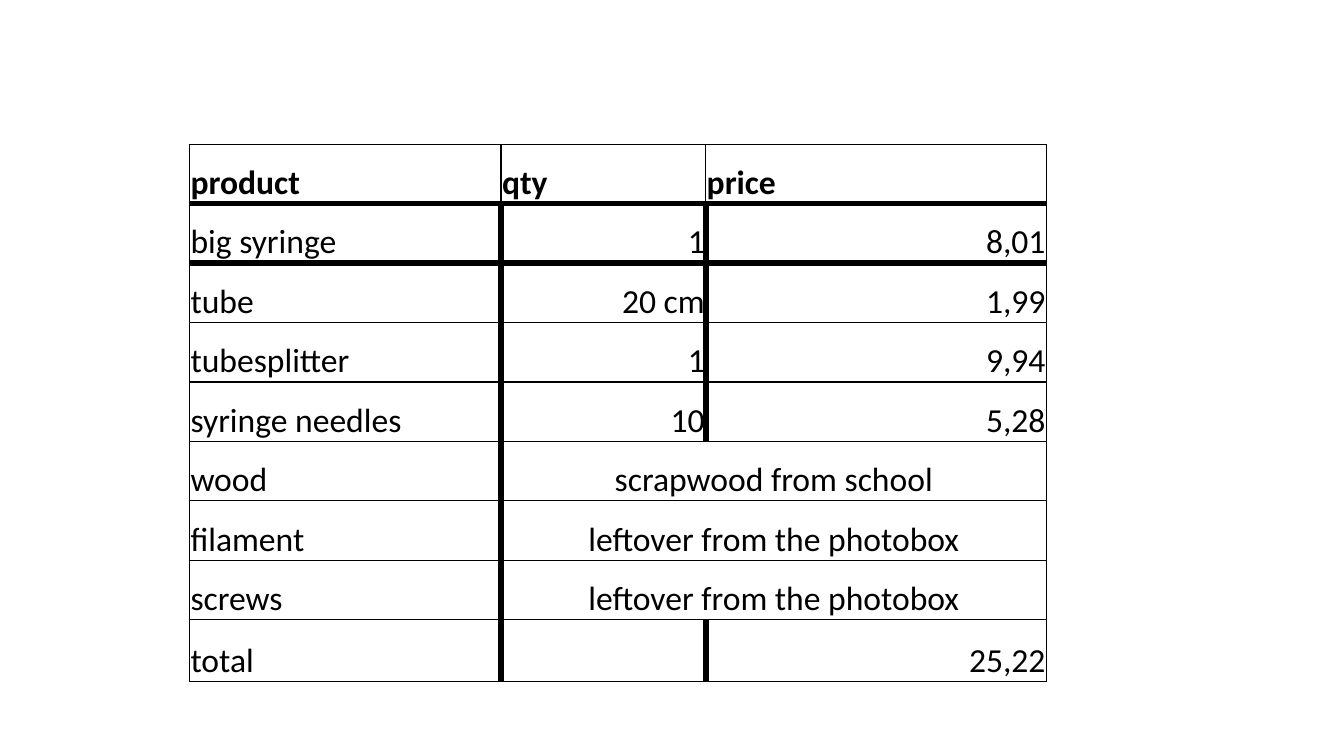
from dataclasses import dataclass

import lxml.etree
import pptx
import pptx.dml.color
import pptx.enum.text
import pptx.oxml.ns
import pptx.table
import pptx.util

PX = 9144  # EMU per px, 100 px to the inch
BLACK = pptx.dml.color.RGBColor(0, 0, 0)
ALIGN = pptx.enum.text.PP_ALIGN
THIN = pptx.util.Pt(1)
THICK = pptx.util.Pt(4.5)
COLS = (309, 203, 338)
ROW = 59
LAST = 61


@dataclass
class Item:
    name: str
    qty: str = ""
    price: str = ""
    note: str = ""  # fills qty and price as one merged cell


HEAD = Item("product", "qty", "price")
ITEMS = [
    Item("big syringe", "1", "8,01"),
    Item("tube", "20 cm", "1,99"),
    Item("tubesplitter", "1", "9,94"),
    Item("syringe needles", "10", "5,28"),
    Item("wood", note="scrapwood from school"),
    Item("filament", note="leftover from the photobox"),
    Item("screws", note="leftover from the photobox"),
    Item("total", price="25,22"),
]


def put_text(cell: pptx.table._Cell, text: str, align: ALIGN, bold: bool) -> None:
    cell.vertical_anchor = pptx.enum.text.MSO_ANCHOR.BOTTOM
    cell.margin_left = cell.margin_right = cell.margin_top = PX
    cell.margin_bottom = 0
    para = cell.text_frame.paragraphs[0]
    para.alignment = align
    if text:
        run = para.add_run()
        run.text = text
        run.font.name = "Calibri"
        run.font.size = pptx.util.Pt(24)
        run.font.bold = bold
        run.font.color.rgb = BLACK


def put_edge(cell: pptx.table._Cell, side: str, width: int) -> None:
    qn = pptx.oxml.ns.qn
    props = cell._tc.get_or_add_tcPr()
    line = lxml.etree.SubElement(props, qn(f"a:ln{side}"), w=str(width))
    fill = lxml.etree.SubElement(line, qn("a:solidFill"))
    lxml.etree.SubElement(fill, qn("a:srgbClr"), val=str(BLACK))


def row_edge(row: int) -> int:
    """Width of the line above a row: the first item has heavy rules."""
    return THICK if row in (1, 2) else THIN


def col_edge(row: int, col: int) -> int:
    """Width of the line left of a column: inner ones are heavy below the head."""
    return THICK if row > 0 and col in (1, 2) else THIN


def draw_row(table: pptx.table.Table, row: int, item: Item) -> None:
    head = row == 0
    side = ALIGN.LEFT if head else ALIGN.RIGHT
    if item.note:
        table.cell(row, 1).merge(table.cell(row, 2))
        parts = [(0, 1, item.name, ALIGN.LEFT), (1, 3, item.note, ALIGN.CENTER)]
    else:
        parts = [(0, 1, item.name, ALIGN.LEFT), (1, 2, item.qty, side),
                 (2, 3, item.price, side)]
    for col, end, text, align in parts:
        cell = table.cell(row, col)
        put_text(cell, text, align, head)
        put_edge(cell, "L", col_edge(row, col))
        put_edge(cell, "R", col_edge(row, end))
        put_edge(cell, "T", row_edge(row))
        put_edge(cell, "B", row_edge(row + 1))
        cell.fill.background()


def main() -> None:
    deck = pptx.Presentation()
    deck.slide_width = pptx.util.Inches(13.33)
    deck.slide_height = pptx.util.Inches(7.5)
    slide = deck.slides.add_slide(deck.slide_layouts[6])

    # Price table
    rows = [HEAD, *ITEMS]
    tall = ROW * len(ITEMS) + LAST
    frame = slide.shapes.add_table(len(rows), len(COLS), 188 * PX, 143 * PX,
                                   sum(COLS) * PX, tall * PX)
    table = frame.table
    table.first_row = table.horz_banding = False
    for col, width in zip(table.columns, COLS):
        col.width = width * PX
    for line in table.rows:
        line.height = ROW * PX
    table.rows[len(ITEMS)].height = LAST * PX
    for row, item in enumerate(rows):
        draw_row(table, row, item)

    deck.save("out.pptx")


if __name__ == "__main__":
    main()
